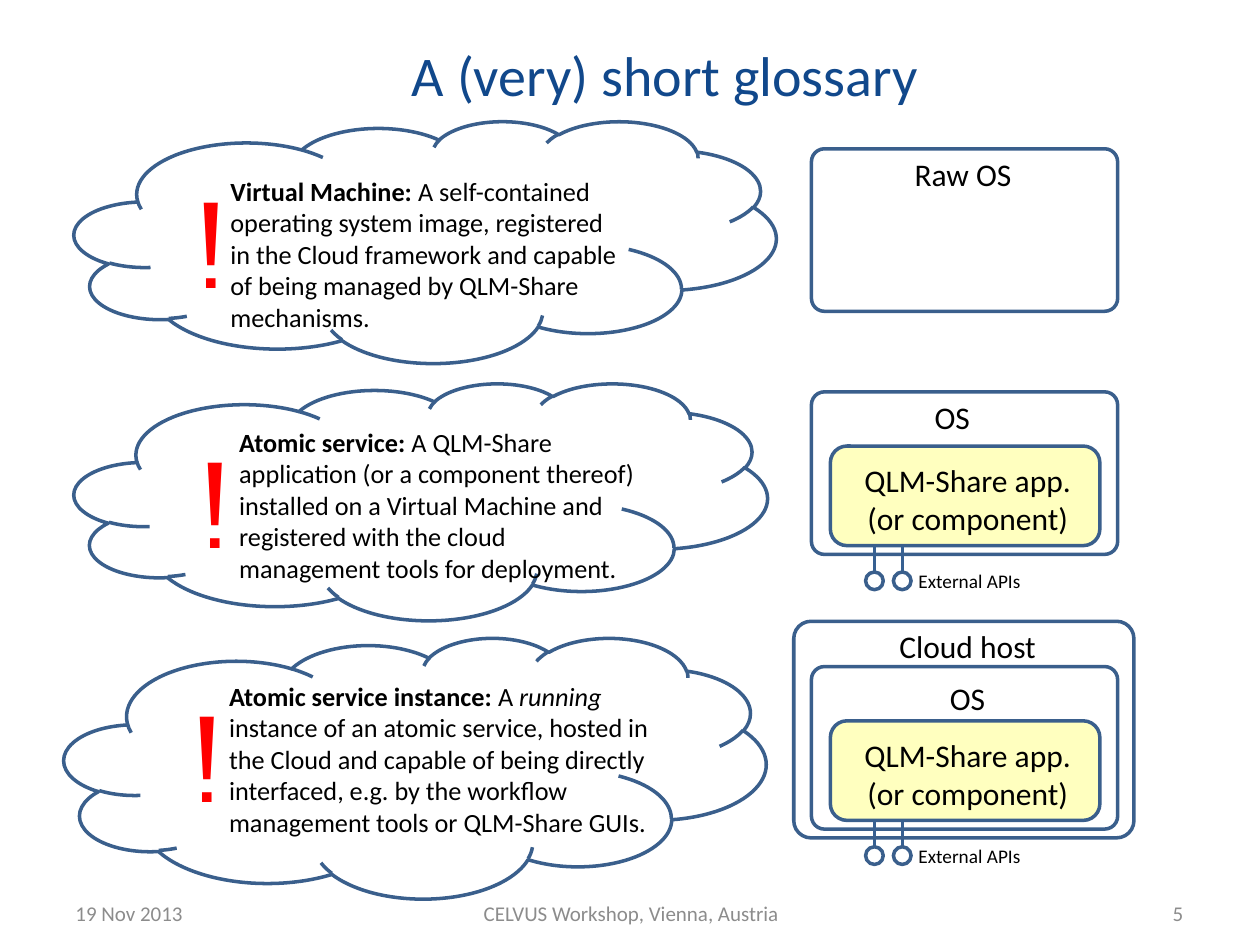
from dataclasses import dataclass

from lxml import etree
from pptx import Presentation
from pptx.dml.color import RGBColor
from pptx.enum.shapes import MSO_CONNECTOR, MSO_SHAPE
from pptx.enum.text import MSO_ANCHOR, MSO_AUTO_SIZE, PP_ALIGN
from pptx.oxml.ns import qn
from pptx.util import Pt

CLOUD, ROUNDED, OVAL = MSO_SHAPE.CLOUD, MSO_SHAPE.ROUNDED_RECTANGLE, MSO_SHAPE.OVAL
STRAIGHT = MSO_CONNECTOR.STRAIGHT
LEFT, CENTER, RIGHT = PP_ALIGN.LEFT, PP_ALIGN.CENTER, PP_ALIGN.RIGHT
TOP, MIDDLE = MSO_ANCHOR.TOP, MSO_ANCHOR.MIDDLE
FIXED, GROW = MSO_AUTO_SIZE.NONE, MSO_AUTO_SIZE.SHAPE_TO_FIT_TEXT

OUTLINE = RGBColor(0x3A, 0x5F, 0x8C)
CONNECTOR = RGBColor(0x37, 0x60, 0x92)
YELLOW = RGBColor(0xFF, 0xFF, 0x00)
RED = RGBColor(0xFF, 0x00, 0x00)
BLACK = RGBColor(0x00, 0x00, 0x00)
TITLE_BLUE = RGBColor(0x11, 0x48, 0x8B)
FOOTER_GREY = RGBColor(0x8C, 0x8C, 0x8C)

BOX_X, BOX_W, BOX_H = 463.7, 175, 92.9
API_XS = (499.7, 515.6)
API_D = 10.1


@dataclass
class Box:
    x: float
    y: float
    w: float
    h: float

    def emu(self) -> tuple:
        return Pt(self.x), Pt(self.y), Pt(self.w), Pt(self.h)


@dataclass
class Run:
    text: str
    bold: bool = False
    italic: bool = False


@dataclass
class Term:
    cloud: Box
    text: Box
    mark: tuple[float, float]
    runs: list[Run]


@dataclass
class Label:
    text: str
    box: Box
    size: float = 18


TERMS = [
    Term(Box(42.5, 69.1, 401, 138.2), Box(124.6, 96.5, 239.8, 97.9), (105.8, 96.5),
         [Run("Virtual Machine: ", bold=True),
          Run("A self-contained operating system image, registered in the Cloud "
              "framework and capable of being managed by QLM-Share mechanisms.")]),
    Term(Box(42.5, 218.9, 396, 135.4), Box(129.6, 239.8, 248.4, 97.9), (108, 244.8),
         [Run("Atomic service: ", bold=True),
          Run("A QLM-Share application (or a component thereof) installed on a Virtual "
              "Machine and registered with the cloud management tools for deployment.")]),
    Term(Box(36.7, 364.3, 401, 149), Box(123.8, 385.2, 267.1, 97.9), (103.7, 390.2),
         [Run("Atomic service instance: ", bold=True), Run("A "),
          Run("running", italic=True),
          Run(" instance of an atomic service, hosted in the Cloud and capable of being "
              "directly interfaced, e.g. by the workflow management tools or "
              "QLM-Share GUIs.")]),
]


def style(font, size: float, color: RGBColor, name: str = "Calibri") -> None:
    font.name, font.size = name, Pt(size)
    font.color.rgb = color


def add_shape(s, kind, box: Box, adj: float | None = None):
    sp = s.shapes.add_shape(kind, *box.emu())
    sp.shadow.inherit = False
    sp.fill.background()
    sp.line.color.rgb = OUTLINE
    sp.line.width = Pt(2)
    if adj is not None:
        sp.adjustments[0] = adj
    return sp


def add_text(s, text: str, box: Box, size: float, color: RGBColor = BLACK,
             font: str = "Calibri", align=LEFT, anchor=TOP, wrap: bool = False) -> None:
    tf = s.shapes.add_textbox(*box.emu()).text_frame
    tf.word_wrap = wrap
    tf.auto_size = FIXED if wrap else GROW
    tf.vertical_anchor = anchor
    tf.text = text
    for p in tf.paragraphs:
        p.alignment = align
        for r in p.runs:
            style(r.font, size, color, font)


def add_label(s, label: Label, align=LEFT) -> None:
    add_text(s, label.text, label.box, label.size, align=align)


def add_term(s, term: Term) -> None:
    add_shape(s, CLOUD, term.cloud)
    tf = s.shapes.add_textbox(*term.text.emu()).text_frame
    tf.word_wrap = True
    tf.auto_size = GROW
    for run in term.runs:
        r = tf.paragraphs[0].add_run()
        r.text = run.text
        style(r.font, 15, BLACK)
        r.font.bold, r.font.italic = run.bold, run.italic
    add_text(s, "!", Box(*term.mark, 32.4, 85.7), 65, RED, "Cabin")


def add_system(s, y: float, label: Label) -> None:
    add_shape(s, ROUNDED, Box(BOX_X, y, BOX_W, BOX_H), 0.08)
    add_label(s, label)


def add_application(s, y: float) -> None:
    """Draw the application and its APIs in the system box whose top is y."""
    app = add_shape(s, ROUNDED, Box(BOX_X + 10.8, y + 31, 154, 56.9))
    app.fill.solid()
    app.fill.fore_color.rgb = YELLOW
    color = app.element.spPr.find(qn("a:solidFill"))[0]
    etree.SubElement(color, qn("a:alpha")).set("val", "25000")
    # Wide enough to keep each paragraph on one line
    add_label(s, Label("QLM-Share app.\n(or component)",
                       Box(BOX_X + 14.3, y + 36, 150, 51)), CENTER)
    for x in API_XS:
        line = s.shapes.add_connector(STRAIGHT, Pt(x), Pt(y + 87.9), Pt(x), Pt(y + 103))
        line.line.color.rgb = CONNECTOR
        line.line.width = Pt(1.5)
        etree.SubElement(line.element.spPr, qn("a:effectLst"))
        circle = add_shape(s, OVAL, Box(x - API_D / 2, y + 103, API_D, API_D))
        line.end_connect(circle, 0)
    add_label(s, Label("External APIs", Box(517.7, y + 98, 73.4, 20.9), 11))


def main() -> None:
    prs = Presentation()
    prs.slide_width, prs.slide_height = Pt(720), Pt(540)
    s = prs.slides.add_slide(prs.slide_layouts[5])

    # Title
    title = s.shapes.title
    title.left, title.top, title.width, title.height = Box(105.1, 1.4, 550, 81.4).emu()
    tf = title.text_frame
    tf.text = "A (very) short glossary"
    tf.vertical_anchor = MIDDLE
    tf.paragraphs[0].alignment = CENTER
    style(tf.paragraphs[0].runs[0].font, 32, TITLE_BLUE)

    # Definitions in clouds
    for term in TERMS:
        add_term(s, term)

    # Virtual machine
    add_system(s, 85, Label("Raw OS", Box(515.5, 85, 70.6, 28.8)))

    # Atomic service
    add_system(s, 223.9, Label("OS", Box(527, 223.9, 34.6, 28.8)))
    add_application(s, 223.9)

    # Atomic service instance on its host
    add_system(s, 380.9, Label("OS", Box(535.7, 384.5, 34.6, 28.8)))
    add_application(s, 380.9)
    add_shape(s, ROUNDED, Box(453.6, 355, 194.4, 123.8), 0.08)
    add_label(s, Label("Cloud host", Box(506.9, 355, 93.6, 28.8)))

    # Footer
    for text, x, w, align in (("19 Nov 2013", 36, 168, LEFT),
                              ("CELVUS Workshop, Vienna, Austria", 216, 289.4, CENTER),
                              ("5", 636.5, 46.8, RIGHT)):
        add_text(s, text, Box(x, 507.6, w, 28.8), 12, FOOTER_GREY,
                 align=align, anchor=MIDDLE, wrap=True)

    prs.save("out.pptx")


if __name__ == "__main__":
    main()
